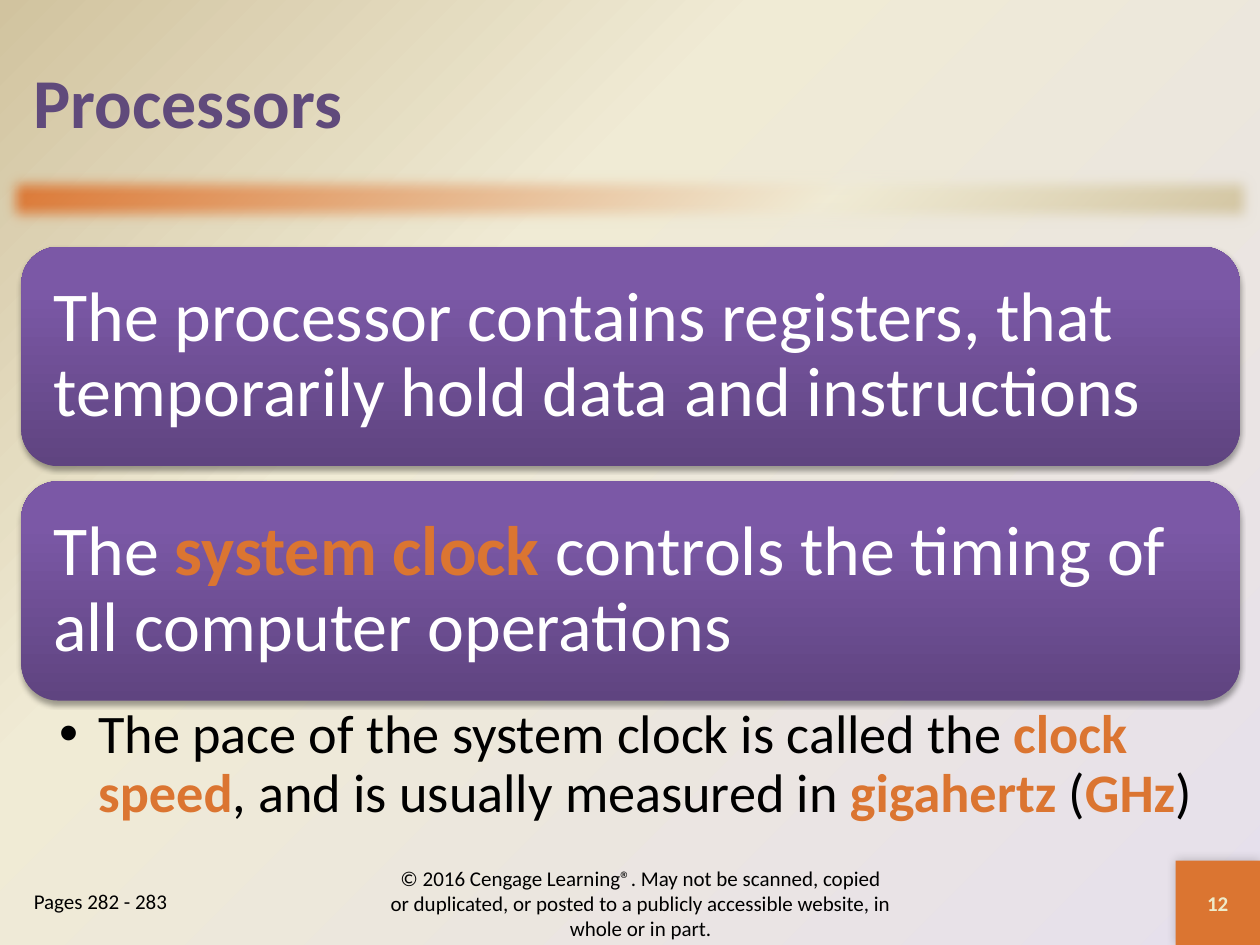
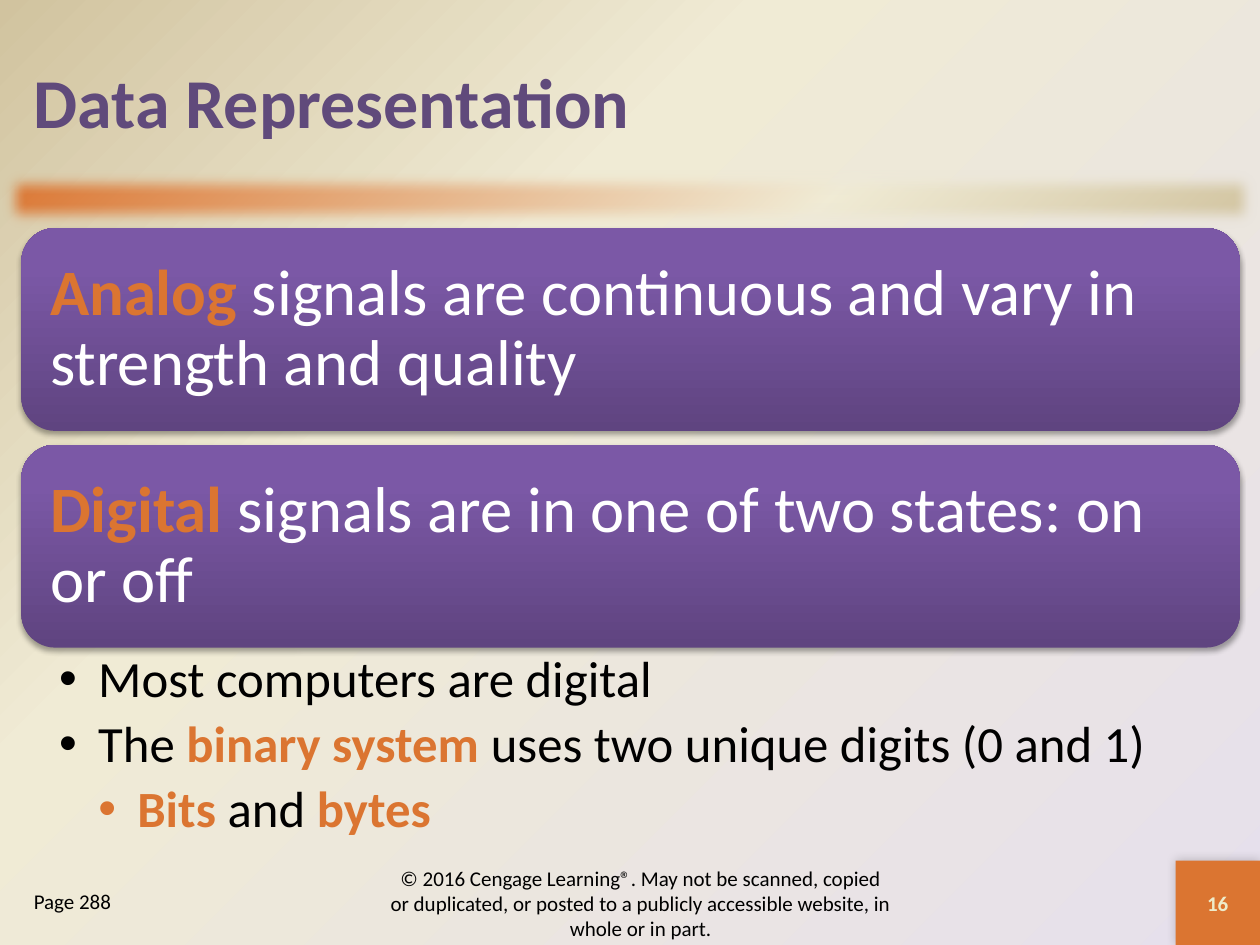
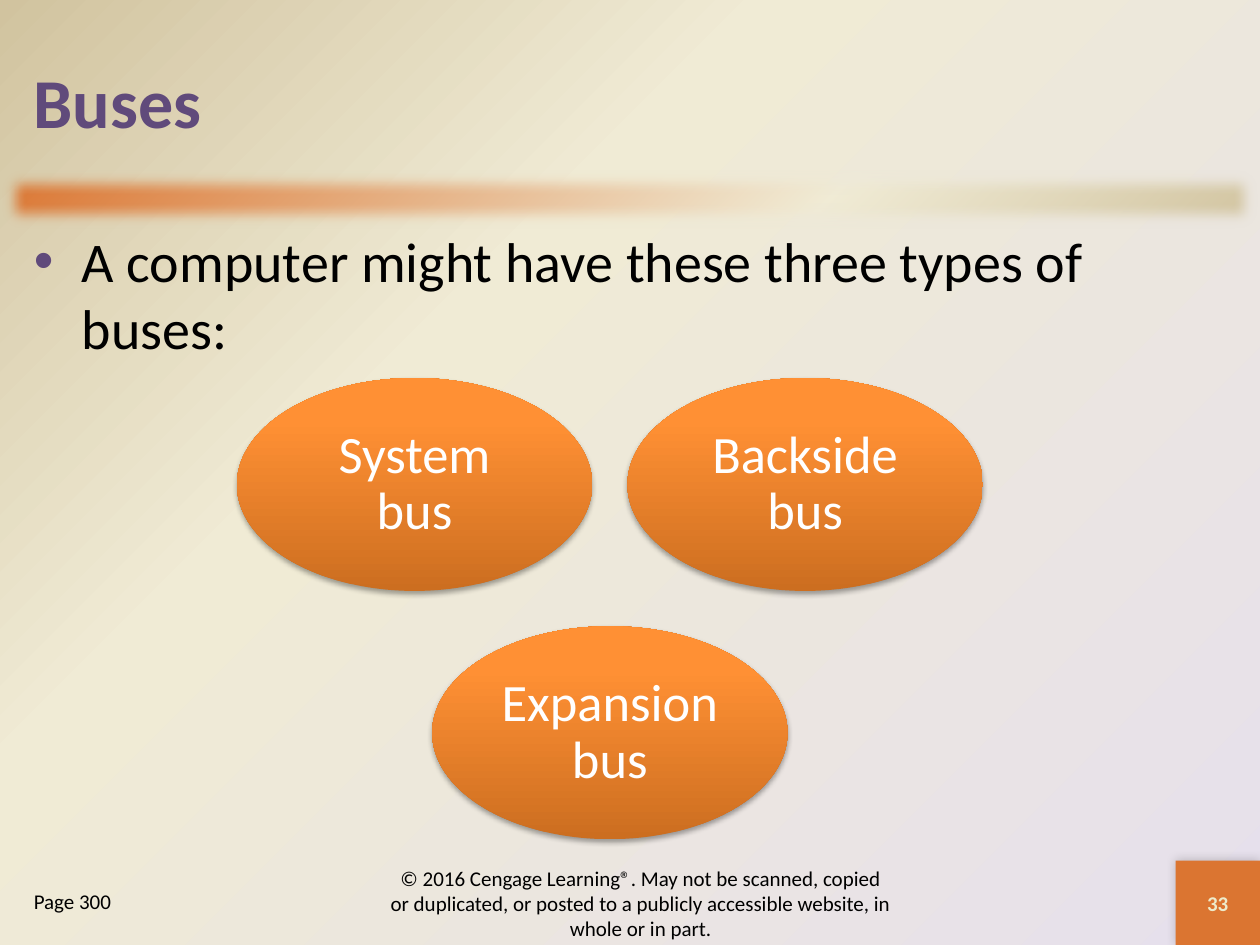
from collections import namedtuple

from lxml import etree
from pptx import Presentation
from pptx.dml.color import RGBColor
from pptx.enum.shapes import MSO_SHAPE
from pptx.enum.text import MSO_ANCHOR, PP_ALIGN
from pptx.oxml import parse_xml
from pptx.oxml.ns import nsdecls, qn
from pptx.util import Inches, Pt

RECT, ROUNDED, OVAL = MSO_SHAPE.RECTANGLE, MSO_SHAPE.ROUNDED_RECTANGLE, MSO_SHAPE.OVAL
LEFT, CENTER = PP_ALIGN.LEFT, PP_ALIGN.CENTER
TOP, MIDDLE = MSO_ANCHOR.TOP, MSO_ANCHOR.MIDDLE

Box = namedtuple("Box", "left top width height")
Shadow = namedtuple("Shadow", "alpha blur distance angle")


class Theme:
    """Colours, gradients and type sizes of the deck."""
    font = "Calibri"
    purple, orange, cream = "604A7B", "DB7531", "EEEBCA"
    black, white = "000000", "FFFFFF"
    backdrop = [(0, "E6E0EC"), (65, "F0EBD5"), (100, "D1C39F")]
    band = [(0, orange), (65, "F0EBD5"), (100, "D1C39F")]
    card = [(0, "5F4480"), (80, "7B58A6"), (100, "7C57A8")]
    oval = [(0, "CC6E20"), (80, "FF9034"), (100, "FF9136")]
    title_size, body_size, oval_size, small_size = 40, 32, 30, 12
    raised = Shadow(35, 3.15, 1.8, 90)
    glow = Shadow(20, 6, 0, 225)


MARGIN, CONTENT_WIDTH = 0.17, 9.67
COPYRIGHT = ("© 2016 Cengage Learning®. May not be scanned, copied or duplicated, "
             "or posted to a publicly accessible website, in whole or in part.")


# ---- Drawing helpers ----
def set_gradient(properties, stops, direction):
    """Replace the empty fill of a property element by a gradient."""
    stop_xml = "".join(f'<a:gs pos="{position * 1000}"><a:srgbClr val="{color}"/></a:gs>'
                       for position, color in stops)
    gradient = parse_xml(f'<a:gradFill {nsdecls("a")} rotWithShape="1">'
                         f"<a:gsLst>{stop_xml}</a:gsLst>{direction}</a:gradFill>")
    properties.replace(properties.find(qn("a:noFill")), gradient)


def linear(angle):
    return f'<a:lin ang="{angle * 60000}" scaled="0"/>'


def add_effect(shape, xml):
    shape.shadow.inherit = False
    shape._element.spPr.find(qn("a:effectLst")).append(parse_xml(xml))


def add_shadow(shape, shadow):
    add_effect(shape, f'<a:outerShdw {nsdecls("a")} blurRad="{Pt(shadow.blur)}" '
                      f'dist="{Pt(shadow.distance)}" dir="{shadow.angle * 60000}" rotWithShape="0">'
                      f'<a:srgbClr val="{Theme.black}"><a:alpha val="{shadow.alpha * 1000}"/>'
                      "</a:srgbClr></a:outerShdw>")


def add_filled(slide, kind, box, stops=None, angle=0, color=None):
    shape = slide.shapes.add_shape(kind, *map(Inches, box))
    shape.line.fill.background()
    if stops:
        shape.fill.background()
        set_gradient(shape._element.spPr, stops, linear(angle))
    else:
        shape.fill.solid()
        shape.fill.fore_color.rgb = RGBColor.from_string(color)
    return shape


def set_bullet(paragraph, level, indent, color=None):
    properties = paragraph._p.get_or_add_pPr()
    properties.set("marL", str(Inches(indent * level)))
    properties.set("indent", str(-Inches(indent)))
    if color:
        bullet_color = etree.SubElement(properties, qn("a:buClr"))
        etree.SubElement(bullet_color, qn("a:srgbClr")).set("val", color)
    etree.SubElement(properties, qn("a:buFont")).set("typeface", "Arial")
    etree.SubElement(properties, qn("a:buChar")).set("char", "•")


def write(paragraph, text, size, color=Theme.black, bold=False, **layout):
    """Write text in which *stars* enclose the key terms."""
    for name, value in layout.items():
        setattr(paragraph, name, value)
    for index, part in enumerate(text.split("*")):
        if not part:
            continue
        is_term = index % 2 == 1
        run = paragraph.add_run()
        run.text = part
        run_format = {"name": Theme.font, "size": Pt(size), "bold": bold or is_term}
        for name, value in run_format.items():
            setattr(run.font, name, value)
        run.font.color.rgb = RGBColor.from_string(Theme.orange if is_term else color)


def set_frame(shape, anchor=MIDDLE, insets=(0.1, 0.05)):
    side, end = map(Inches, insets)
    frame_format = {"word_wrap": True, "vertical_anchor": anchor,
                    "margin_left": side, "margin_right": side,
                    "margin_top": end, "margin_bottom": end}
    for name, value in frame_format.items():
        setattr(shape.text_frame, name, value)
    return shape.text_frame


def add_text(slide, box, anchor=MIDDLE, insets=(0.1, 0.05)):
    return set_frame(slide.shapes.add_textbox(*map(Inches, box)), anchor, insets)


# ---- Shared regions ----
def set_backdrop(master):
    master.background.fill.background()
    set_gradient(master._element.find(".//" + qn("p:bgPr")), Theme.backdrop,
                 '<a:path path="circle"><a:fillToRect l="100000" t="100000"/></a:path>')


def add_header(slide, title):
    band = add_filled(slide, RECT, Box(0, 1.33, 10, 0.5), Theme.band, 45)
    add_effect(band, f'<a:softEdge {nsdecls("a")} rad="112500"/>')
    frame = add_text(slide, Box(MARGIN, 0.17, CONTENT_WIDTH, 1.25))
    write(frame.paragraphs[0], title, Theme.title_size, Theme.purple, bold=True)


def add_footer(slide, pages, number):
    # Number square in the corner
    square = add_filled(slide, RECT, Box(9.33, 6.83, 0.67, 0.67), color=Theme.orange)
    add_shadow(square, Theme.glow)
    write(set_frame(square).paragraphs[0], str(number), Theme.small_size, Theme.cream,
          bold=True, alignment=CENTER)
    # Copyright line and page reference
    copyright_frame = add_text(slide, Box(3, 6.92, 4.17, 0.5))
    write(copyright_frame.paragraphs[0], COPYRIGHT, Theme.small_size, alignment=CENTER)
    pages_frame = add_text(slide, Box(MARGIN, 7, 1.83, 0.5), TOP)
    write(pages_frame.paragraphs[0], pages, Theme.small_size)


def start_slide(deck, title, pages, number):
    slide = deck.slides.add_slide(deck.slide_layouts[6])
    add_header(slide, title)
    add_footer(slide, pages, number)
    return slide


# ---- Content regions ----
def add_cards(slide, box, statements, gap, size, inset):
    """Stack the statements as equal cards that fill the box."""
    height = (box.height - gap * (len(statements) - 1)) / len(statements)
    for row, statement in enumerate(statements):
        top = box.top + row * (height + gap)
        card = add_filled(slide, ROUNDED, Box(box.left, top, box.width, height), Theme.card, 270)
        add_shadow(card, Theme.raised)
        frame = set_frame(card, insets=(inset, inset))
        write(frame.paragraphs[0], statement, size, Theme.white, alignment=LEFT, line_spacing=0.9)


def add_details(slide, box, details, size):
    """List (level, text) details under the cards."""
    frame = add_text(slide, box, TOP, (0.3, 0.05))
    for index, (level, text) in enumerate(details):
        paragraph = frame.add_paragraph() if index else frame.paragraphs[0]
        set_bullet(paragraph, level, 0.31)
        write(paragraph, text, size, line_spacing=0.9, space_after=Pt(size * 0.2))


def add_ovals(slide, box, rows, gap):
    """Fill the box with rows of ovals, each row centred."""
    columns = max(map(len, rows))
    width = (box.width - gap * (columns - 1)) / columns
    height = (box.height - gap * (len(rows) - 1)) / len(rows)
    for row, names in enumerate(rows):
        row_width = len(names) * (width + gap) - gap
        left = box.left + (box.width - row_width) / 2
        top = box.top + row * (height + gap)
        for column, name in enumerate(names):
            oval = add_filled(slide, OVAL, Box(left + column * (width + gap), top, width, height),
                              Theme.oval, 270)
            add_shadow(oval, Theme.raised)
            write(set_frame(oval, insets=(0.12, 0.12)).paragraphs[0], name, Theme.oval_size,
                  Theme.white, alignment=CENTER, line_spacing=0.9)


# ---- Slides ----
def build_processors(deck):
    slide = start_slide(deck, "Processors", "Pages 282 - 283", 12)
    add_cards(slide, Box(MARGIN, 1.96, CONTENT_WIDTH, 3.6), [
        "The processor contains registers, that temporarily hold data and instructions",
        "The *system clock *controls the timing of all computer operations",
    ], gap=0.12, size=40, inset=0.17)
    add_details(slide, Box(MARGIN, 5.56, CONTENT_WIDTH, 1.06), [
        (1, "The pace of the system clock is called the *clock speed*, "
            "and is usually measured in *gigahertz *(*GHz*)"),
    ], size=31)


def build_data_representation(deck):
    slide = start_slide(deck, "Data Representation", "Page 288", 16)
    add_cards(slide, Box(MARGIN, 1.81, CONTENT_WIDTH, 3.33), [
        "*Analog *signals are continuous and vary in strength and quality",
        "*Digital *signals are in one of two states: on or off",
    ], gap=0.11, size=37, inset=0.15)
    add_details(slide, Box(MARGIN, 5.14, CONTENT_WIDTH, 1.63), [
        (1, "Most computers are digital"),
        (1, "The *binary system *uses two unique digits (0 and 1)"),
        (2, "*Bits *and *bytes*"),
    ], size=29)


def build_buses(deck):
    slide = start_slide(deck, "Buses", "Page 300", 33)
    lead = add_text(slide, Box(MARGIN, 1.75, CONTENT_WIDTH, 5.08), TOP).paragraphs[0]
    set_bullet(lead, 1, 0.38, Theme.purple)
    write(lead, "A computer might have these three types of buses:", Theme.body_size)
    add_ovals(slide, Box(1.88, 3, 5.92, 3.66),
              [["System bus", "Backside bus"], ["Expansion bus"]], gap=0.28)


def main():
    deck = Presentation()
    deck.slide_width, deck.slide_height = Inches(10), Inches(7.5)
    set_backdrop(deck.slide_master)
    for build in (build_processors, build_data_representation, build_buses):
        build(deck)
    deck.save("out.pptx")


if __name__ == "__main__":
    main()
